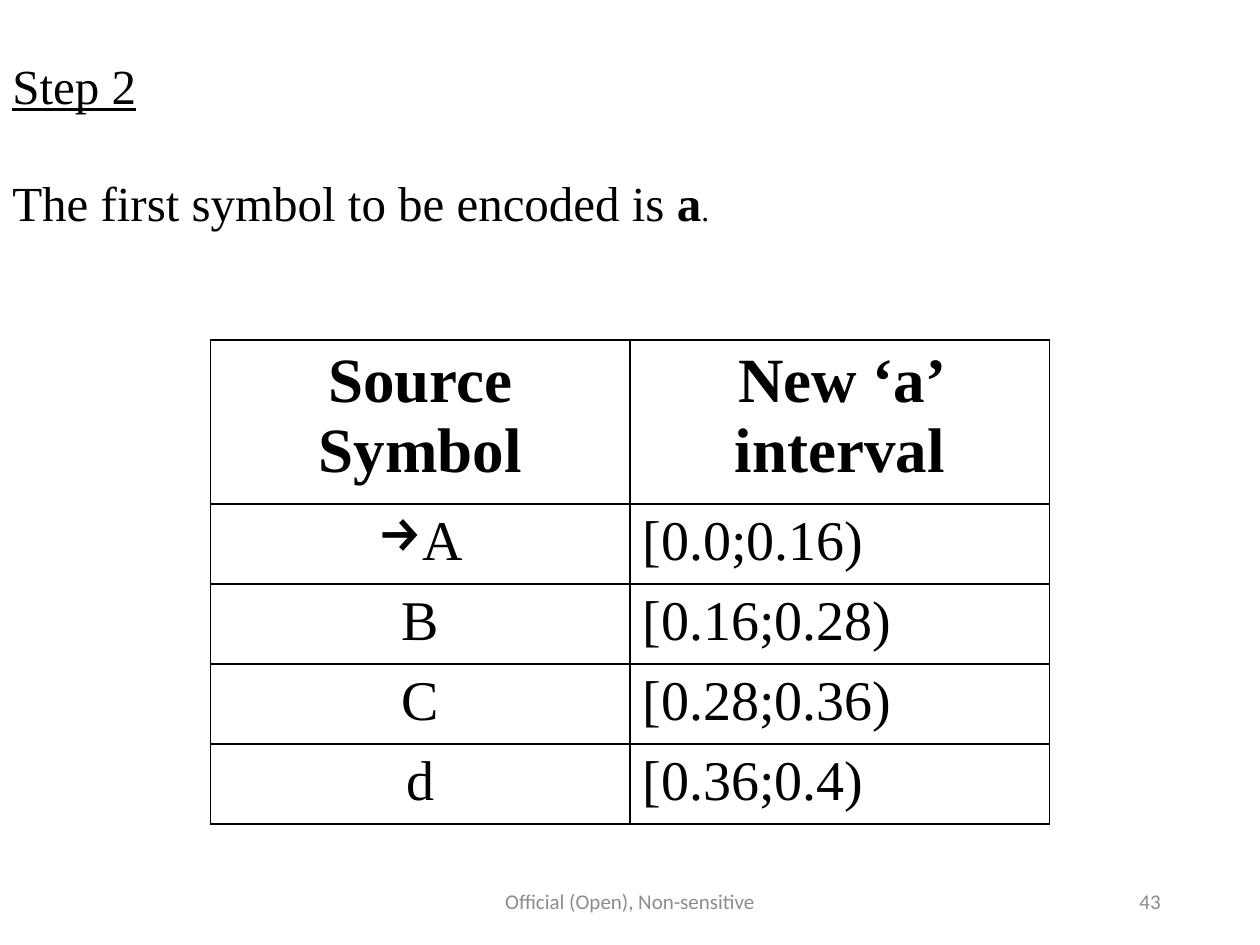
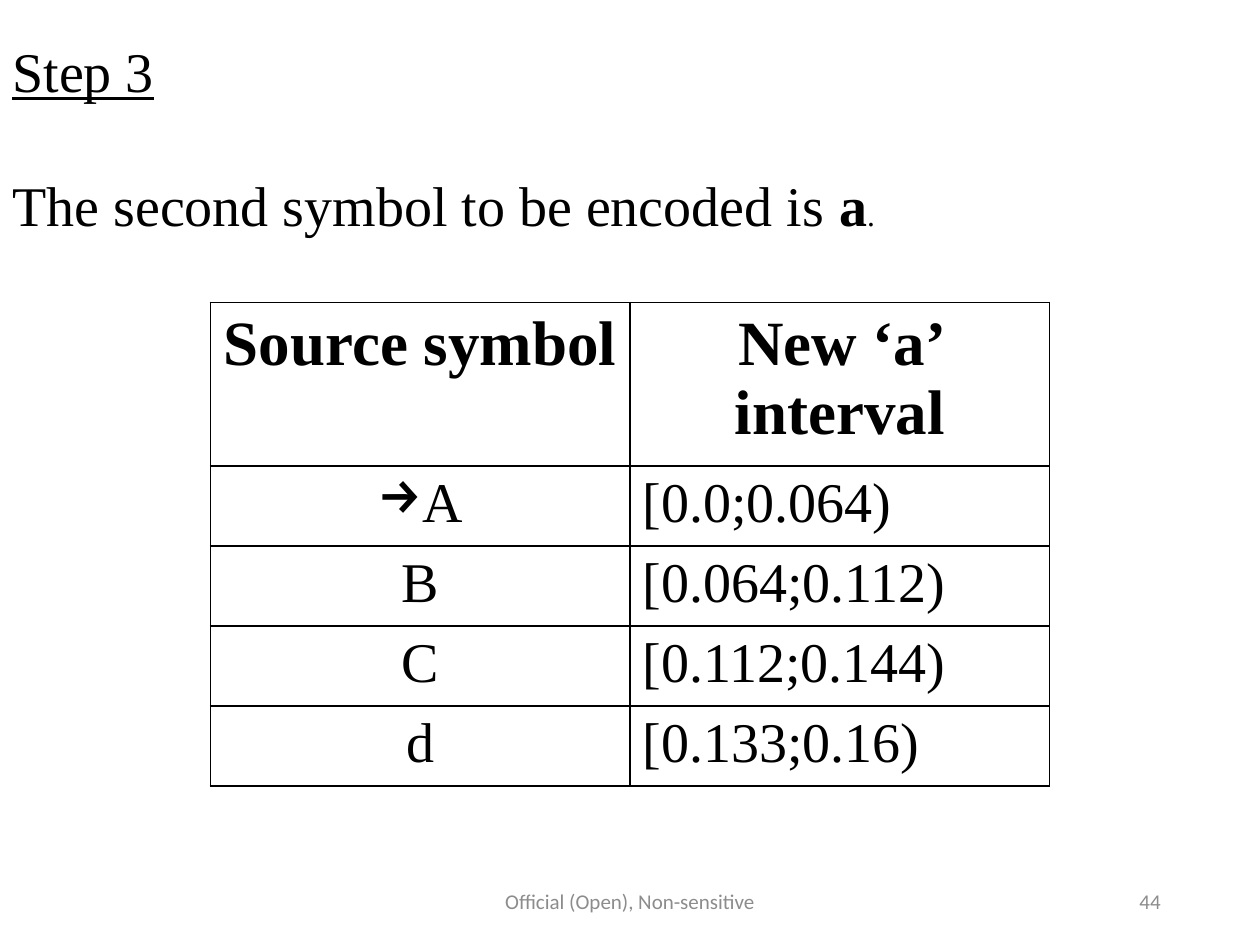
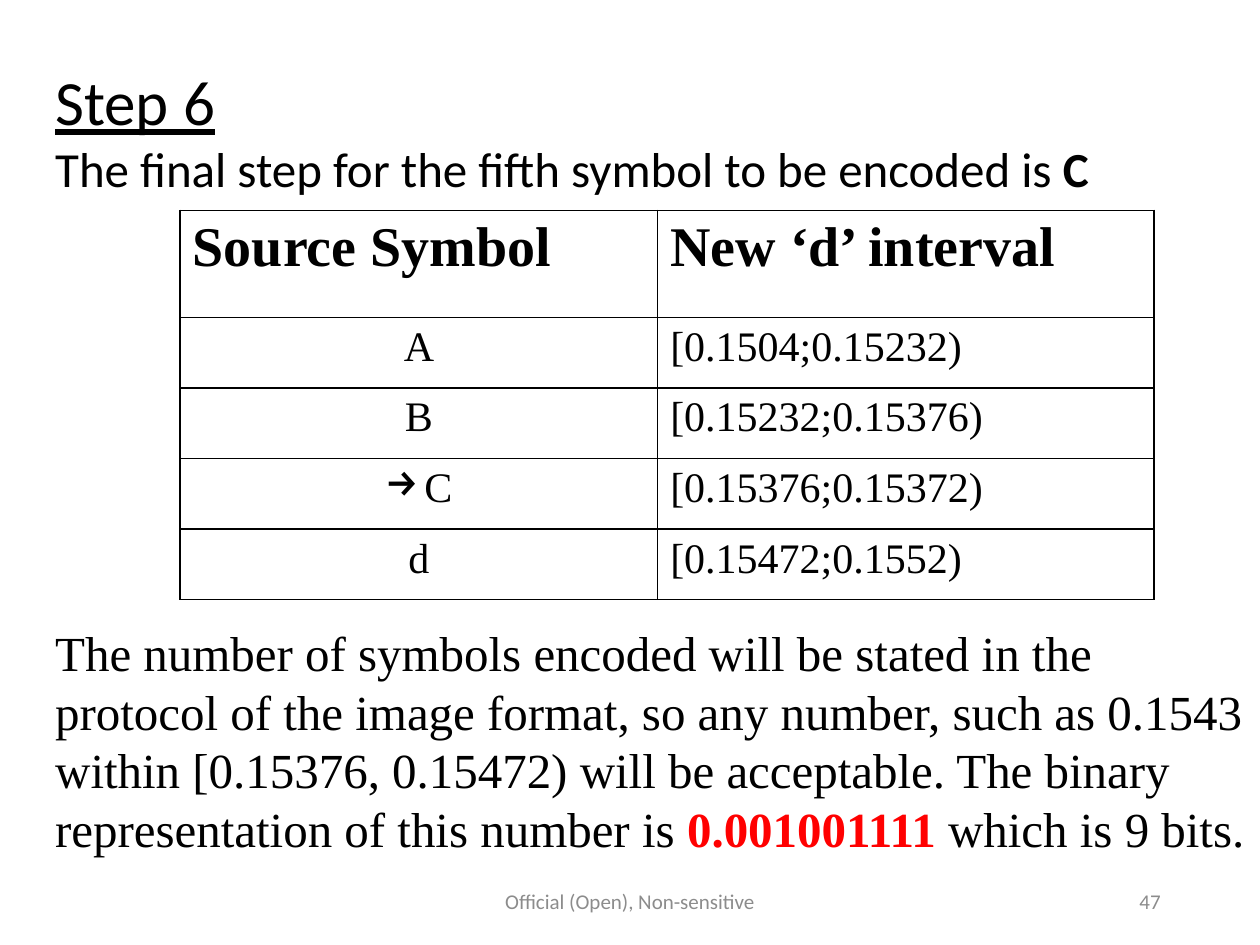
"""Build three slides that walk through arithmetic coding with interval tables."""
from dataclasses import dataclass

from lxml.etree import SubElement
from pptx import Presentation
from pptx.dml.color import RGBColor
from pptx.enum.text import MSO_ANCHOR as Anchor, PP_ALIGN as Align
from pptx.oxml.ns import qn
from pptx.util import Inches, Pt


@dataclass(frozen=True)
class Theme:
    """Colours, fonts, type sizes and leading shared by all slides."""
    ink: RGBColor = RGBColor(0, 0, 0)
    paper: RGBColor = RGBColor(255, 255, 255)
    accent: RGBColor = RGBColor(255, 0, 0)
    muted: RGBColor = RGBColor(0x8C, 0x8C, 0x8C)
    serif: str = "Times New Roman"
    sans: str = "Calibri"
    footer_size: int = 12
    stop_size: int = 18
    text_size: int = 28
    large_size: int = 32
    title_size: int = 36
    row_size: int = 24
    text_leading: float = 1.2
    table_leading: float = 1.11


THEME = Theme()
ARROW = "→"


@dataclass(frozen=True)
class Span:
    """A stretch of text in one style."""
    text: str
    size: int
    font: str = THEME.serif
    color: RGBColor = THEME.ink
    bold: bool = False
    underline: bool = False


@dataclass(frozen=True)
class Line:
    """One paragraph made of spans; leading and gap are in points."""
    spans: tuple[Span, ...]
    align: Align = Align.LEFT
    leading: float | None = None
    gap: float = 0
    bullet: str = ""


@dataclass(frozen=True)
class Box:
    """Place of an element in inches."""
    left: float
    top: float
    width: float
    height: float


@dataclass(frozen=True)
class IntervalTable:
    """A table of source symbols and their new intervals."""
    box: Box
    columns: tuple[float, float]
    header_height: float
    row_height: float
    header: tuple[str, str]
    rows: tuple[tuple[str, str], ...]
    header_size: int = THEME.title_size
    row_size: int = THEME.large_size
    header_align: Align = Align.CENTER


@dataclass(frozen=True)
class Step:
    """One slide: its number, its text boxes and its table."""
    number: int
    texts: tuple[tuple[Box, tuple[Line, ...]], ...]
    table: IntervalTable


def write_line(paragraph, line: Line) -> None:
    """Fill a paragraph with styled spans."""
    paragraph.alignment = line.align
    if line.bullet:
        properties = paragraph._p.get_or_add_pPr()
        properties.set("marL", str(Inches(0.31)))
        properties.set("indent", str(Inches(-0.31)))
        SubElement(properties, qn("a:buChar")).set("char", line.bullet)
    if line.leading:
        paragraph.line_spacing = Pt(line.leading)
    if line.gap:
        paragraph.space_before = Pt(line.gap)
    for span in line.spans:
        run = paragraph.add_run()
        run.text = span.text
        run.font.size = Pt(span.size)
        run.font.name = span.font
        run.font.color.rgb = span.color
        run.font.bold = span.bold
        run.font.underline = span.underline


def add_text(slide, box: Box, lines: tuple[Line, ...], anchor: Anchor = Anchor.TOP) -> None:
    """Add a wrapping text box."""
    shape = slide.shapes.add_textbox(
        Inches(box.left), Inches(box.top), Inches(box.width), Inches(box.height))
    text_frame = shape.text_frame
    text_frame.word_wrap = True
    text_frame.vertical_anchor = anchor
    for index, line in enumerate(lines):
        paragraph = text_frame.add_paragraph() if index else text_frame.paragraphs[0]
        write_line(paragraph, line)


def add_footer(slide, number: int) -> None:
    """Add the classification and the slide number."""
    for text, left, width, align in (
            ("Official (Open), Non-sensitive", 3.31, 3.38, Align.CENTER),
            (str(number), 7.06, 2.25, Align.RIGHT)):
        span = Span(text, THEME.footer_size, THEME.sans, THEME.muted)
        add_text(slide, Box(left, 6.95, width, 0.4), (Line((span,), align),), Anchor.MIDDLE)


def style_cell(cell) -> None:
    """Give a cell thin borders and a plain fill."""
    properties = cell._tc.get_or_add_tcPr()
    for side in ("a:lnL", "a:lnR", "a:lnT", "a:lnB"):
        border = SubElement(properties, qn(side))
        border.set("w", str(Pt(1)))
        fill = SubElement(border, qn("a:solidFill"))
        SubElement(fill, qn("a:srgbClr")).set("val", str(THEME.ink))
    cell.fill.solid()
    cell.fill.fore_color.rgb = THEME.paper


def add_interval_table(slide, content: IntervalTable) -> None:
    """Add a table; a symbol that starts with an arrow gets it as a bullet."""
    box = content.box
    rows = (content.header, *content.rows)
    table = slide.shapes.add_table(
        len(rows), len(content.columns), Inches(box.left), Inches(box.top),
        Inches(box.width), Inches(box.height)).table
    table.first_row = False
    table.horz_banding = False
    for column, width in zip(table.columns, content.columns):
        column.width = Inches(width)
    for row_index, texts in enumerate(rows):
        is_header = row_index == 0
        table.rows[row_index].height = Inches(
            content.header_height if is_header else content.row_height)
        size = content.header_size if is_header else content.row_size
        for column_index, text in enumerate(texts):
            cell = table.cell(row_index, column_index)
            style_cell(cell)
            body_align = Align.LEFT if column_index else Align.CENTER
            write_line(cell.text_frame.paragraphs[0], Line(
                (Span(text.removeprefix(ARROW), size, bold=is_header),),
                content.header_align if is_header else body_align,
                leading=size * THEME.table_leading,
                bullet=ARROW if text.startswith(ARROW) else ""))


def intro(title: str, sentence: str, size: int) -> tuple[Line, ...]:
    """Return an underlined step title and a sentence about symbol a."""
    leading = size * THEME.text_leading
    return (
        Line((Span(title, size, underline=True),), leading=leading),
        Line((Span(sentence, size), Span("a", size, bold=True), Span(".", THEME.stop_size)),
             leading=leading, gap=leading))


def a_table(top: float, symbol_title: str, intervals: tuple[str, ...]) -> IntervalTable:
    """Return the table for a step that encodes symbol a."""
    return IntervalTable(
        Box(1.67, top, 6.66, 3.84), (3.33, 3.33), 1.3, 0.635,
        (symbol_title, "New ‘a’ interval"),
        tuple(zip((ARROW + "A", "B", "C", "d"), intervals)))


FINAL_INTRO = (
    Line((Span("Step 6", THEME.title_size, THEME.sans, underline=True),)),
    Line((Span("The final step for the fifth symbol to be encoded is ",
               THEME.text_size, THEME.sans),
          Span("C", THEME.text_size, THEME.sans, bold=True))))

CONCLUSION = (
    Line((Span("The number of symbols encoded will be stated in the protocol of the image "
               "format, so any number, such as 0.1543 within [0.15376, 0.15472) will be "
               "acceptable. The binary representation of this number is ", THEME.text_size),
          Span("0.001001111", THEME.text_size, color=THEME.accent, bold=True),
          Span(" which is 9 bits.", THEME.text_size)),
         leading=THEME.text_size * THEME.text_leading),)

STEPS = (
    Step(43,
         ((Box(0, 0.39, 10, 1.51),
           intro("Step 2", "The first symbol to be encoded is ", THEME.text_size)),),
         a_table(2.7, "Source Symbol",
                 ("[0.0;0.16)", "[0.16;0.28)", "[0.28;0.36)", "[0.36;0.4)"))),
    Step(44,
         ((Box(0, 0.24, 10, 1.72),
           intro("Step 3", "The second symbol to be encoded is ", THEME.large_size)),),
         a_table(2.4, "Source symbol",
                 ("[0.0;0.064)", "[0.064;0.112)", "[0.112;0.144)", "[0.133;0.16)"))),
    Step(47,
         ((Box(0.34, 4.89, 9.66, 1.99), CONCLUSION),
          (Box(0.34, 0.45, 8.9, 1.18), FINAL_INTRO)),
         IntervalTable(
             Box(1.43, 1.67, 7.73, 3.09), (3.79, 3.94), 0.85, 0.56,
             ("Source Symbol", "New ‘d’ interval"),
             (("A", "[0.1504;0.15232)"), ("B", "[0.15232;0.15376)"),
              (ARROW + "C", "[0.15376;0.15372)"), ("d", "[0.15472;0.1552)")),
             THEME.large_size, THEME.row_size, Align.LEFT)),
)


def main() -> None:
    """Build and save the presentation."""
    presentation = Presentation()
    presentation.slide_width = Inches(10)
    presentation.slide_height = Inches(7.5)
    for step in STEPS:
        slide = presentation.slides.add_slide(presentation.slide_layouts[6])
        add_footer(slide, step.number)
        for box, lines in step.texts:
            add_text(slide, box, lines)
        add_interval_table(slide, step.table)
    presentation.save("out.pptx")


if __name__ == "__main__":
    main()
